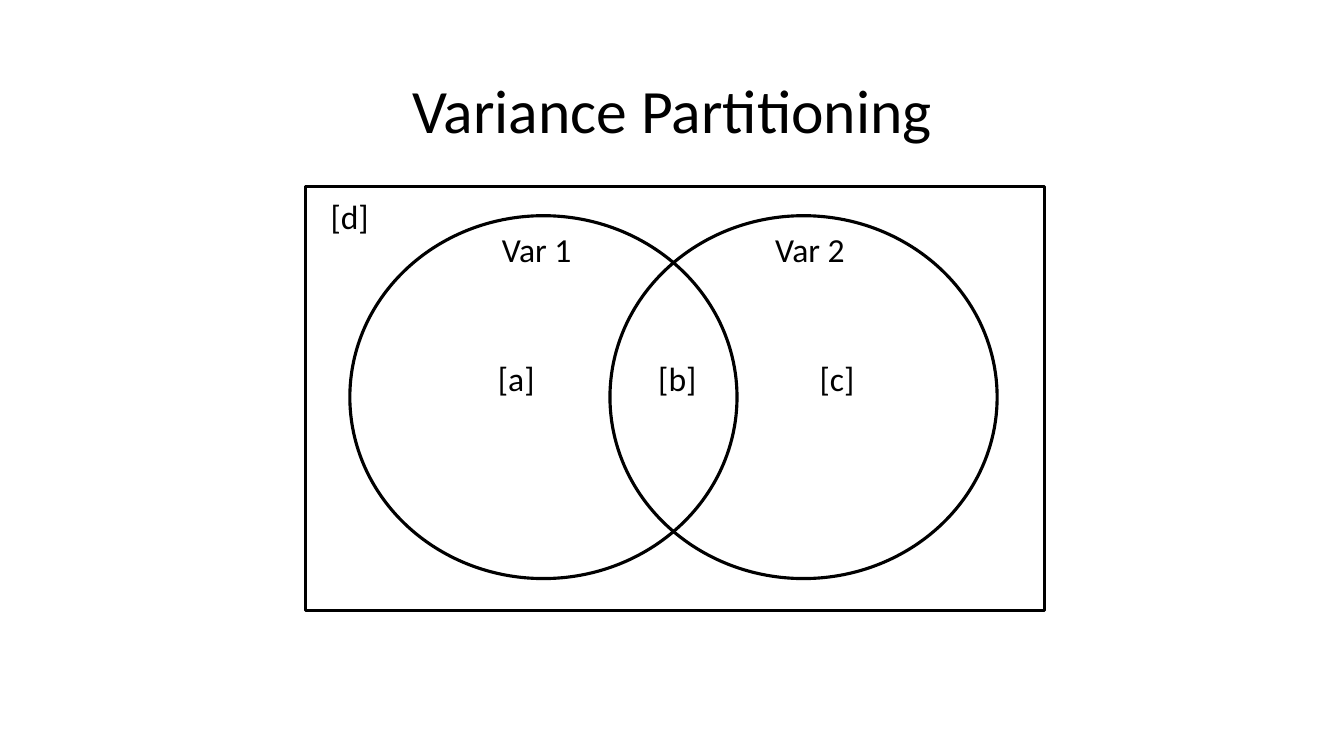
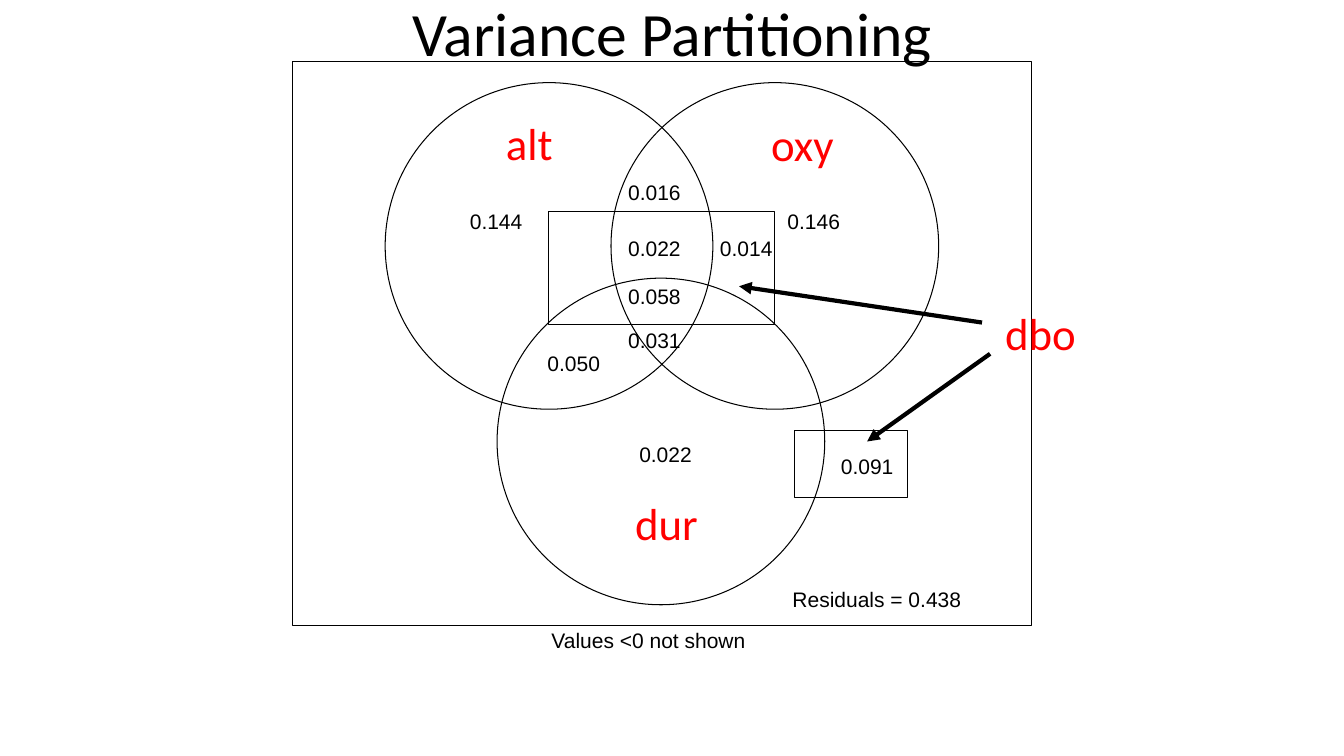
from dataclasses import dataclass

import lxml.etree
import pptx
import pptx.dml.color
import pptx.enum.shapes
import pptx.enum.text
import pptx.oxml.ns
import pptx.util

Inches = pptx.util.Inches
Pt = pptx.util.Pt
Shapes = pptx.enum.shapes.MSO_SHAPE
AutoSize = pptx.enum.text.MSO_AUTO_SIZE


@dataclass(frozen=True)
class TextStyle:
    font: str
    size: float
    color: str
    inset: tuple = (0.1, 0.05)


class Theme:
    ink = "000000"
    accent = "FF0000"
    title = TextStyle("Calibri", 44, ink)
    region = TextStyle("Calibri", 24, ink)
    variable = TextStyle("Calibri", 32, accent)
    value = TextStyle("Arial", 15, ink, (0, 0))
    thin_line = 0.75
    bold_line = 2.25
    arrow_line = 3


class Deck:
    def __init__(self, theme):
        self.theme = theme
        self.presentation = pptx.Presentation()
        self.presentation.slide_width = Inches(13.33)
        self.presentation.slide_height = Inches(7.5)
        self.slide = None

    def add_slide(self):
        self.slide = self.presentation.slides.add_slide(self.presentation.slide_layouts[6])

    def text(self, words, left, top, width, height, style):
        box = self.slide.shapes.add_textbox(*map(Inches, (left, top, width, height)))
        frame = box.text_frame
        frame.word_wrap = False
        frame.auto_size = AutoSize.SHAPE_TO_FIT_TEXT
        frame.margin_left = frame.margin_right = Inches(style.inset[0])
        frame.margin_top = frame.margin_bottom = Inches(style.inset[1])
        paragraph = frame.paragraphs[0]
        paragraph.text = words
        paragraph.font.name = style.font
        paragraph.font.size = Pt(style.size)
        paragraph.font.color.rgb = pptx.dml.color.RGBColor.from_string(style.color)
        return frame

    def title(self, words, top):
        frame = self.text(words, 0.92, top, 11.5, 1.45, self.theme.title)
        frame.word_wrap = True
        frame.auto_size = AutoSize.NONE
        frame.vertical_anchor = pptx.enum.text.MSO_ANCHOR.MIDDLE
        paragraph = frame.paragraphs[0]
        paragraph.alignment = pptx.enum.text.PP_ALIGN.CENTER
        paragraph.line_spacing = 0.9

    def ink_line(self, line, weight):
        line.color.rgb = pptx.dml.color.RGBColor.from_string(self.theme.ink)
        line.width = Pt(weight)

    def outline(self, kind, left, top, width, height, weight):
        shape = self.slide.shapes.add_shape(kind, *map(Inches, (left, top, width, height)))
        shape.shadow.inherit = False
        shape.fill.background()
        self.ink_line(shape.line, weight)

    def arrow(self, start, end):
        connector = self.slide.shapes.add_connector(
            pptx.enum.shapes.MSO_CONNECTOR.STRAIGHT, *map(Inches, start + end))
        self.ink_line(connector.line, self.theme.arrow_line)
        qualified = pptx.oxml.ns.qn
        properties = connector._element.spPr
        line = properties.find(qualified("a:ln"))
        lxml.etree.SubElement(line, qualified("a:tailEnd"), type="triangle")
        lxml.etree.SubElement(properties, qualified("a:effectLst"))


def two_variable_slide(deck):
    theme = deck.theme
    deck.add_slide()
    deck.title("Variance Partitioning", 0.4)
    for left in (3.47, 6.05):
        deck.outline(Shapes.OVAL, left, 2.14, 3.84, 3.6, theme.bold_line)
    deck.outline(Shapes.RECTANGLE, 3.03, 1.85, 7.33, 4.21, theme.bold_line)
    for words, left, top, width in (
        ("[a]", 4.84, 3.5, 0.57),
        ("[b]", 6.43, 3.5, 0.59),
        ("[c]", 8.03, 3.5, 0.55),
        ("[d]", 3.18, 1.89, 0.59),
        ("Var 1", 4.88, 2.22, 0.9),
        ("Var 2", 7.59, 2.22, 0.9),
    ):
        deck.text(words, left, top, width, 0.5, theme.region)


def four_variable_slide(deck):
    theme = deck.theme
    deck.add_slide()
    deck.outline(Shapes.RECTANGLE, 2.9, 0.61, 7.33, 5.6, theme.thin_line)
    for left, top in ((3.82, 0.82), (6.06, 0.82), (4.93, 2.76)):
        deck.outline(Shapes.OVAL, left, top, 3.25, 3.24, theme.thin_line)
    deck.outline(Shapes.RECTANGLE, 5.44, 2.1, 2.24, 1.12, theme.thin_line)
    deck.outline(Shapes.RECTANGLE, 7.88, 4.27, 1.12, 0.67, theme.thin_line)

    for words, left, top in (
        ("0.144", 4.66, 2.07),
        ("0.146", 7.81, 2.07),
        ("0.022", 6.34, 4.38),
        ("0.091", 8.34, 4.5),
        ("0.016", 6.23, 1.78),
        ("0.050", 5.43, 3.48),
        ("0.014", 7.14, 2.34),
        ("0.022", 6.23, 2.34),
        ("0.031", 6.23, 3.25),
        ("0.058", 6.23, 2.81),
    ):
        deck.text(words, left, top, 0.65, 0.29, theme.value)
    deck.text("Residuals = 0.438", 7.86, 5.82, 1.88, 0.29, theme.value)
    deck.text("Values <0 not shown", 5.47, 6.23, 2.16, 0.29, theme.value)

    for words, left, top, width in (
        ("alt", 4.92, 1.1, 0.67),
        ("oxy", 7.55, 1.11, 0.83),
        ("dur", 6.2, 4.87, 0.83),
        ("dbo", 9.87, 2.98, 0.91),
    ):
        deck.text(words, left, top, width, 0.64, theme.variable)
    deck.arrow((9.74, 3.2), (7.33, 2.84))
    deck.arrow((9.82, 3.51), (8.6, 4.38))
    deck.title("Variance Partitioning", -0.36)


deck = Deck(Theme())
two_variable_slide(deck)
four_variable_slide(deck)
deck.presentation.save("out.pptx")
